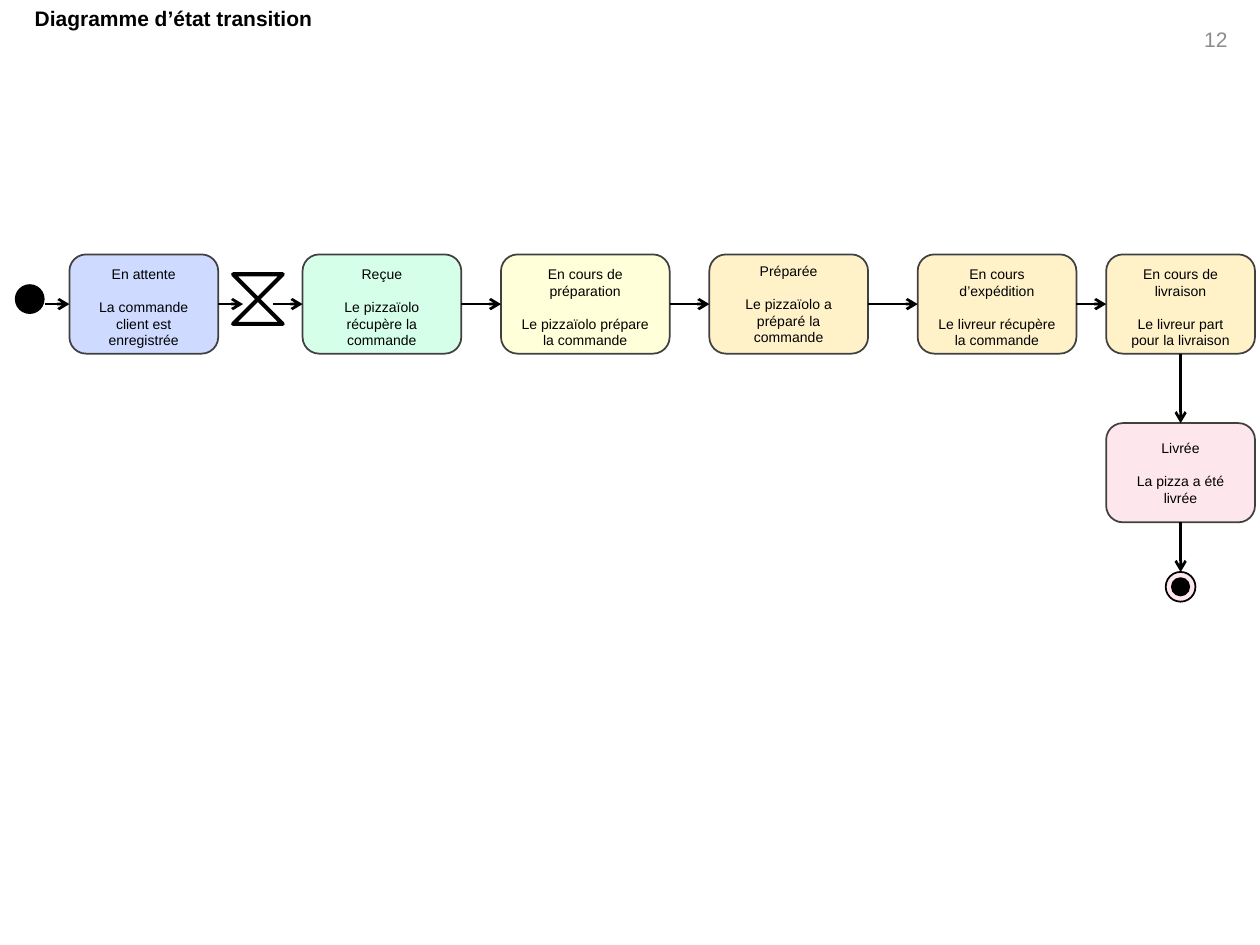
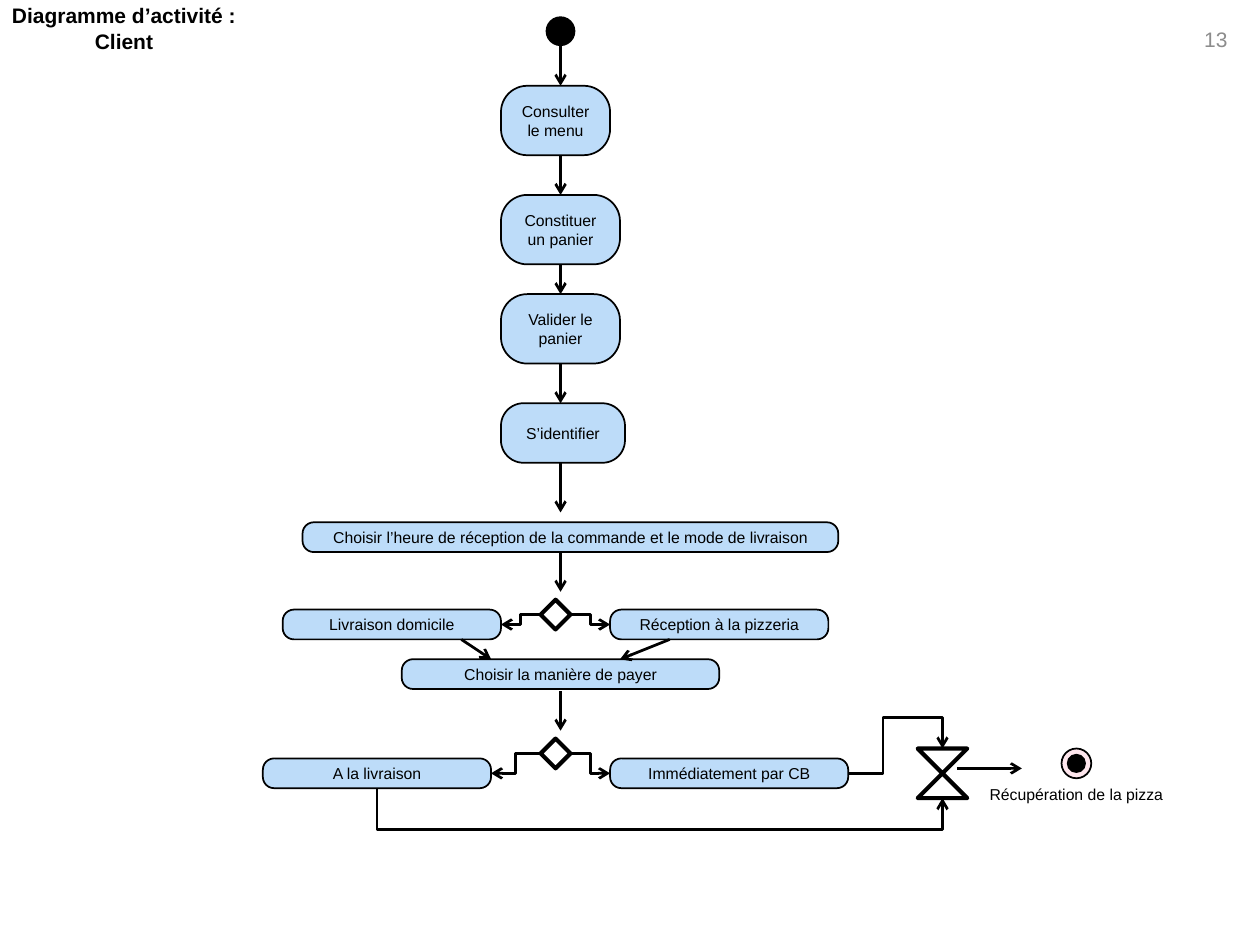
"""Build the state and activity diagrams of a pizza order."""
from dataclasses import dataclass

from lxml import etree
from pptx import Presentation
from pptx import util as u
from pptx.dml import color
from pptx.enum import shapes, text
from pptx.oxml import ns

FONT = "Arial"
BLACK, WHITE, GREY, DARK = "000000", "FFFFFF", "8C8C8C", "404040"
BLUE, GREEN, YELLOW, ORANGE = "CEDAFF", "D5FFE8", "FFFFD9", "FFF2C9"
PINK, SKY = "FEE6ED", "BDDCF9"
ARROW_WIDTH, SYMBOL_WIDTH = 1.57, 2.36
DOT = 0.6
Point = tuple[float, float]
Preset = shapes.MSO_SHAPE


@dataclass
class Box:
    left: float
    top: float
    width: float
    height: float

    @property
    def middle(self) -> float:
        return self.top + self.height / 2

    @property
    def center(self) -> float:
        return self.left + self.width / 2

    @property
    def right(self) -> float:
        return self.left + self.width

    @property
    def bottom(self) -> float:
        return self.top + self.height

    def lengths(self) -> list[u.Cm]:
        return [u.Cm(value) for value in (self.left, self.top, self.width, self.height)]


@dataclass
class State:
    box: Box
    fill: str
    name: str
    event: str
    anchor: text.MSO_ANCHOR = text.MSO_ANCHOR.TOP


@dataclass
class Activity:
    box: Box
    label: str


def rgb(value: str) -> color.RGBColor:
    return color.RGBColor.from_string(value)


def write(frame, lines: list[str], size: float, ink: str = BLACK, bold: bool = False,
          align=text.PP_ALIGN.CENTER, gap: float = 0) -> None:
    for index, line in enumerate(lines):
        paragraph = frame.paragraphs[0] if index == 0 else frame.add_paragraph()
        paragraph.alignment = align
        if index < len(lines) - 1:
            paragraph.space_after = u.Pt(gap)
        run = paragraph.add_run()
        run.text = line
        run.font.name, run.font.size, run.font.bold = FONT, u.Pt(size), bold
        run.font.color.rgb = rgb(ink)


def add_figure(parent, preset, box: Box, fill: str | None = None,
               line: str | None = None, width: float = 1):
    shape = parent.add_shape(preset, *box.lengths())
    shape.shadow.inherit = False
    if fill:
        shape.fill.solid()
        shape.fill.fore_color.rgb = rgb(fill)
    else:
        shape.fill.background()
    if line:
        shape.line.color.rgb = rgb(line)
        shape.line.width = u.Pt(width)
    else:
        shape.line.fill.background()
    return shape


def add_node(slide, box: Box, fill: str, line: str, corner: float, margin: float,
             anchor=text.MSO_ANCHOR.MIDDLE):
    shape = add_figure(slide.shapes, Preset.ROUNDED_RECTANGLE, box, fill, line)
    shape.adjustments[0] = corner
    frame = shape.text_frame
    frame.word_wrap, frame.vertical_anchor = True, anchor
    frame.margin_left = frame.margin_right = u.Cm(margin)
    return frame


def add_state(slide, state: State) -> None:
    frame = add_node(slide, state.box, state.fill, DARK, 0.167, 0.28, state.anchor)
    write(frame, [state.name, state.event], 8, gap=9.2)


def add_activity(slide, activity: Activity) -> None:
    frame = add_node(slide, activity.box, SKY, BLACK, 0.378, 0.2)
    write(frame, [activity.label], 9)


def add_start(slide, left: float, top: float) -> None:
    add_figure(slide.shapes, Preset.OVAL, Box(left, top, DOT, DOT), BLACK)


def add_end(slide, left: float, top: float) -> None:
    group = slide.shapes.add_group_shape()
    box = Box(left, top, DOT, DOT)
    add_figure(group.shapes, Preset.OVAL, box, BLACK)
    ring = add_figure(group.shapes, Preset.DONUT, box, PINK, BLACK)
    ring.adjustments[0] = 0.208


def add_wait(slide, left: float, top: float) -> None:
    add_figure(slide.shapes, Preset.FLOWCHART_COLLATE, Box(left, top, 1, 1),
               line=BLACK, width=SYMBOL_WIDTH)


def add_arrow(slide, begin: Point, end: Point, kind=shapes.MSO_CONNECTOR.STRAIGHT):
    connector = slide.shapes.add_connector(kind, *[u.Cm(value) for value in begin + end])
    connector.line.color.rgb = rgb(BLACK)
    connector.line.width = u.Pt(ARROW_WIDTH)
    properties = connector.element.spPr
    outline = properties.find(ns.qn("a:ln"))
    etree.SubElement(outline, ns.qn("a:tailEnd"), type="arrow")
    etree.SubElement(properties, ns.qn("a:effectLst"))
    return connector


def add_elbow(slide, begin: Point, end: Point, bends: tuple[float, ...] = (0.5,),
              upright: bool = False) -> None:
    """Draw a bent arrow; an upright one leaves its start vertically."""
    if upright:
        x, y = (begin[0] + end[0]) / 2, (begin[1] + end[1]) / 2
        begin, end = [(x - (point[1] - y), y + point[0] - x) for point in (begin, end)]
    connector = add_arrow(slide, begin, end, shapes.MSO_CONNECTOR.ELBOW)
    properties = connector.element.spPr
    if upright:
        properties.find(ns.qn("a:xfrm")).set("rot", str(270 * 60000))
    geometry = properties.find(ns.qn("a:prstGeom"))
    geometry.set("prst", f"bentConnector{len(bends) + 2}")
    guides = geometry.find(ns.qn("a:avLst"))
    for index, bend in enumerate(bends, 1):
        etree.SubElement(guides, ns.qn("a:gd"), name=f"adj{index}",
                         fmla=f"val {round(bend * 100000)}")


def add_text(slide, box: Box, line: str, size: float, ink: str, align) -> None:
    frame = slide.shapes.add_textbox(*box.lengths()).text_frame
    frame.word_wrap, frame.vertical_anchor = True, text.MSO_ANCHOR.MIDDLE
    write(frame, [line], size, ink, align=align)


def add_slide(presentation, title: list[str], box: Box, number: str):
    slide = presentation.slides.add_slide(presentation.slide_layouts[5])
    holder = slide.shapes.title
    holder.left, holder.top, holder.width, holder.height = box.lengths()
    frame = holder.text_frame
    frame.auto_size, frame.word_wrap = text.MSO_AUTO_SIZE.NONE, True
    frame.vertical_anchor = text.MSO_ANCHOR.TOP
    frame.margin_left = frame.margin_right = frame.margin_top = frame.margin_bottom = 0
    write(frame, title, 12, bold=True)
    add_text(slide, Box(23.62, 0, 1.78, 1.58), number, 12, GREY, text.PP_ALIGN.CENTER)
    return slide


def build_states(presentation) -> None:
    slide = add_slide(presentation, ["Diagramme d’état transition"],
                      Box(0, 0.12, 7, 0.6), "12")
    top, height = 5.13, 2
    middle = text.MSO_ANCHOR.MIDDLE
    row = [
        State(Box(1.4, top, 3, height), BLUE, "En attente",
              "La commande client est enregistrée"),
        State(Box(6.1, top, 3.2, height), GREEN, "Reçue",
              "Le pizzaïolo récupère la commande"),
        State(Box(10.1, top, 3.4, height), YELLOW, "En cours de préparation",
              "Le pizzaïolo prépare la commande"),
        State(Box(14.3, top, 3.2, height), ORANGE, "Préparée",
              "Le pizzaïolo a préparé la commande", middle),
        State(Box(18.5, top, 3.2, height), ORANGE, "En cours d’expédition",
              "Le livreur récupère la commande"),
        State(Box(22.3, top, 3, height), ORANGE, "En cours de livraison",
              "Le livreur part pour la livraison"),
    ]
    delivered = State(Box(22.3, 8.53, 3, height), PINK, "Livrée",
                      "La pizza a été livrée", middle)
    for state in row + [delivered]:
        add_state(slide, state)

    add_start(slide, 0.3, 5.73)
    add_wait(slide, 4.7, 5.53)
    end_top = 11.53
    add_end(slide, delivered.box.center - DOT / 2, end_top)

    spans = [(0.9, 1.4), (4.4, 4.9), (5.5, 6.1)]
    spans += [(a.box.right, b.box.left) for a, b in zip(row[1:], row[2:])]
    for begin, end in spans:
        add_arrow(slide, (begin, row[0].box.middle), (end, row[0].box.middle))
    x = delivered.box.center
    add_arrow(slide, (x, row[-1].box.bottom), (x, delivered.box.top))
    add_arrow(slide, (x, delivered.box.bottom), (x, end_top))


def build_activities(presentation) -> None:
    slide = add_slide(presentation, ["Diagramme d’activité :", "Client"],
                      Box(0, 0.06, 5, 1.1), "13")
    axis, bar = 11.3, 0.6
    home = Activity(Box(5.7, 12.29, 4.4, bar), "Livraison domicile")
    pickup = Activity(Box(12.3, 12.29, 4.4, bar), "Réception à la pizzeria")
    later = Activity(Box(5.3, 15.29, 4.6, bar), "A la livraison")
    card = Activity(Box(12.3, 15.29, 4.8, bar), "Immédiatement par CB")
    payment = Activity(Box(8.1, 13.29, 6.4, bar), "Choisir la manière de payer")
    activities = [
        Activity(Box(10.1, 1.73, 2.2, 1.4), "Consulter le menu"),
        Activity(Box(10.1, 3.93, 2.4, 1.4), "Constituer un panier"),
        Activity(Box(10.1, 5.93, 2.4, 1.4), "Valider le panier"),
        Activity(Box(10.1, 8.13, 2.5, 1.2), "S’identifier"),
        Activity(Box(6.1, 10.53, 10.8, bar),
                 "Choisir l’heure de réception de la commande et le mode de livraison"),
        home, pickup, payment, later, card,
    ]
    for activity in activities:
        add_activity(slide, activity)

    add_start(slide, axis - DOT / 2, 0.33)
    for begin, end in [(0.93, 1.73), (3.13, 3.93), (5.33, 5.93), (7.33, 8.13),
                       (9.33, 10.33), (11.13, 11.93), (13.93, 14.73)]:
        add_arrow(slide, (axis, begin), (axis, end))

    for top, left_choice, right_choice in [(12.09, home, pickup), (14.89, later, card)]:
        choice = Box(10.9, top, DOT, DOT)
        add_figure(slide.shapes, Preset.DIAMOND, choice, WHITE, BLACK, SYMBOL_WIDTH)
        add_elbow(slide, (choice.left, choice.middle),
                  (left_choice.box.right, left_choice.box.middle))
        add_elbow(slide, (choice.right, choice.middle),
                  (right_choice.box.left, right_choice.box.middle))
    add_arrow(slide, (9.3, home.box.bottom), (9.9, payment.box.top))
    add_arrow(slide, (13.5, pickup.box.bottom), (12.5, payment.box.top))

    wait = Box(18.5, 15.09, 1, 1)
    add_wait(slide, wait.left, wait.top)
    add_elbow(slide, (later.box.center, later.box.bottom), (wait.center, wait.bottom),
              (4.175,), upright=True)
    add_elbow(slide, (card.box.right, card.box.middle), (wait.center, wait.top),
              (0.369, 2.262))
    add_arrow(slide, (19.3, 15.49), (20.6, 15.49))
    add_end(slide, 21.4, wait.top)
    add_text(slide, Box(19.7, 15.7, 4.3, 0.63), "Récupération de la pizza", 9, BLACK,
             text.PP_ALIGN.LEFT)


def main() -> None:
    presentation = Presentation()
    presentation.slide_width, presentation.slide_height = u.Cm(25.4), u.Cm(19.05)
    build_states(presentation)
    build_activities(presentation)
    presentation.save("out.pptx")


main()
